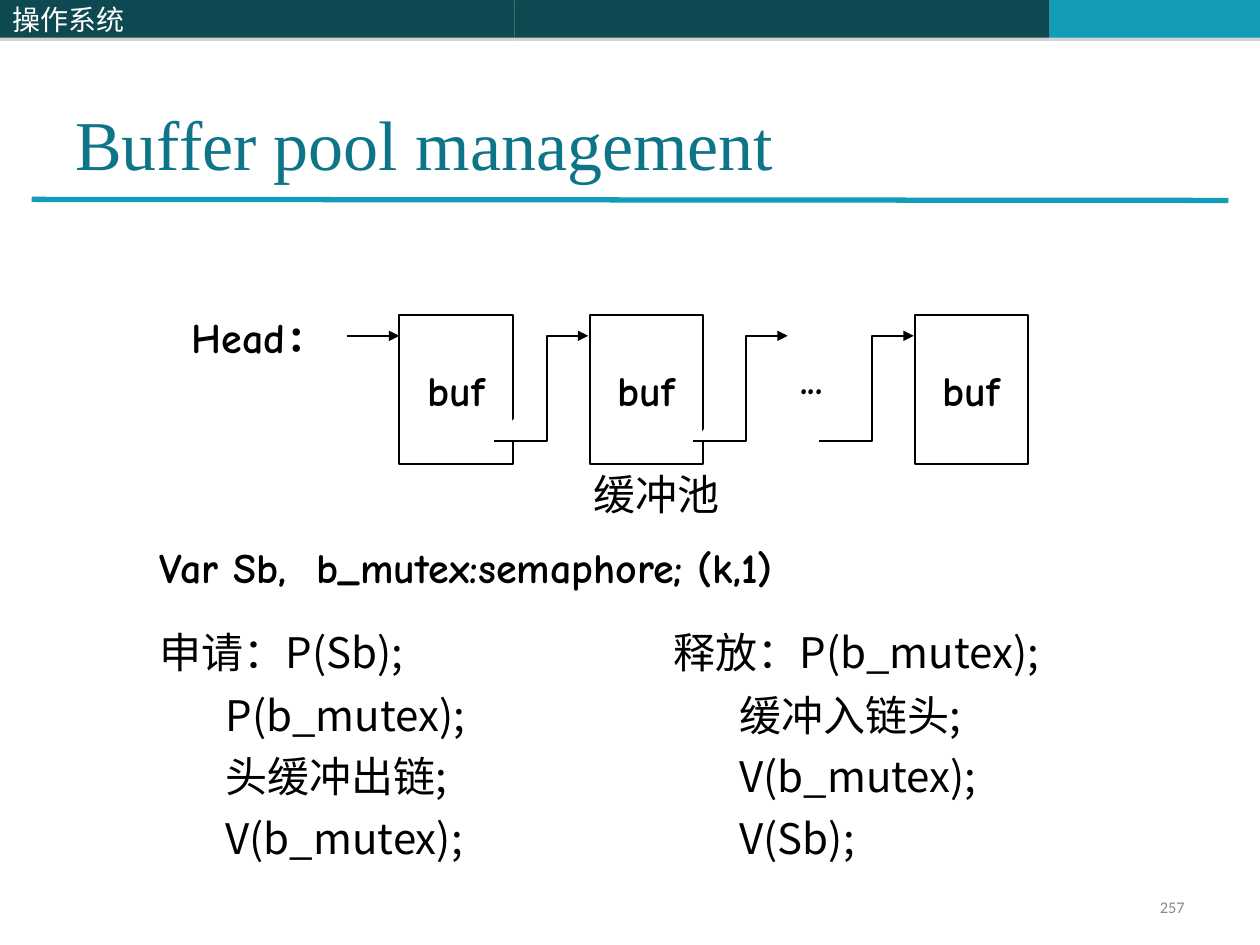
from lxml import etree
from pptx import Presentation
from pptx.dml.color import RGBColor
from pptx.enum.shapes import MSO_CONNECTOR, MSO_SHAPE
from pptx.enum.text import MSO_ANCHOR, PP_ALIGN
from pptx.oxml.ns import qn
from pptx.util import Cm, Pt

RECT = MSO_SHAPE.RECTANGLE
LINE = MSO_CONNECTOR.STRAIGHT
TOP, MID, LOW = MSO_ANCHOR.TOP, MSO_ANCHOR.MIDDLE, MSO_ANCHOR.BOTTOM
LEFT, CENTER, RIGHT = PP_ALIGN.LEFT, PP_ALIGN.CENTER, PP_ALIGN.RIGHT

BLACK = RGBColor(0, 0, 0)
WHITE = RGBColor(255, 255, 255)
DARK = RGBColor(0x0E, 0x48, 0x51)
AQUA = RGBColor(0x13, 0x9C, 0xB7)
TEAL = RGBColor(0x0E, 0x75, 0x89)
GREY = RGBColor(0x89, 0x89, 0x89)

COMIC, HAN = "Comic Neue", "Noto Sans CJK SC"
SERIF, SANS = "Times New Roman", "Calibri"


def style(font, name, size, color, bold=False):
    font.name, font.size, font.bold = name, Pt(size), bold
    font.color.rgb = color
    face = etree.Element(qn("a:ea"), typeface=name)
    font._rPr.find(qn("a:latin")).addnext(face)


def write(shape, lines, name, size=24, color=BLACK, bold=False,
          align=LEFT, anchor=TOP, wrap=True):
    frame = shape.text_frame
    frame.word_wrap, frame.vertical_anchor = wrap, anchor
    for i, text in enumerate(lines):
        para = frame.add_paragraph() if i else frame.paragraphs[0]
        para.alignment = align
        if i:
            para.line_spacing, para.space_before = 0.7, Pt(15)
            para._p.get_or_add_pPr().set("marL", str(Cm(1.33)))
        para.add_run().text = text
        style(para.font, name, size, color, bold)
    return frame


def label(slide, x, y, w, h, lines, name, **look):
    box = slide.shapes.add_textbox(Cm(x), Cm(y), Cm(w), Cm(h))
    return write(box, lines, name, **look)


def rect(slide, x, y, w, h, fill, edge=None):
    box = slide.shapes.add_shape(RECT, Cm(x), Cm(y), Cm(w), Cm(h))
    box.shadow.inherit = False
    box.fill.solid()
    box.fill.fore_color.rgb = fill
    if edge is None:
        box.line.fill.background()
    else:
        stroke(box, edge, 1.25)
    return box


def stroke(shape, color, width):
    shape.line.color.rgb = color
    shape.line.width = Pt(width)


def point(shape):
    edge = shape.line._get_or_add_ln()
    etree.SubElement(edge, qn("a:tailEnd"), type="triangle")


def rule(slide, x1, y1, x2, y2, color, width):
    line = slide.shapes.add_connector(LINE, Cm(x1), Cm(y1), Cm(x2), Cm(y2))
    stroke(line, color, width)
    etree.SubElement(line._element.spPr, qn("a:effectLst"))
    return line


def shade(box):
    glow = etree.SubElement(box._element.spPr.find(qn("a:effectLst")),
                            qn("a:outerShdw"), dist=str(Pt(1.8)),
                            dir="5400000", rotWithShape="0")
    tint = etree.SubElement(glow, qn("a:srgbClr"), val="808080")
    etree.SubElement(tint, qn("a:alpha"), val="35000")


def header(slide, x, y, h):
    parts = [(10.37, 10.79, DARK), (21.16, 4.24, AQUA), (0, 10.37, DARK)]
    for left, w, fill in parts:
        bar = rect(slide, x + left, y, w, h, fill)
        shade(bar)
    write(bar, ["操作系统"], HAN, size=16, color=WHITE, anchor=MID)


def heading(slide, x, y, w, h):
    label(slide, x, y, w, h, ["Buffer pool management"], SERIF,
          size=40, color=TEAL, anchor=LOW)
    rule(slide, x - 0.63, y + 3.36, x + w + 0.63, y + 3.38, AQUA, 3)


def elbow(slide, x, y):
    path = slide.shapes.build_freeform(Cm(x), Cm(y + 2.12))
    bend = Cm(x + 1.06)
    path.add_line_segments([(bend, Cm(y + 2.12)), (bend, Cm(y)),
                            (Cm(x + 1.9), Cm(y))], close=False)
    link = path.convert_to_shape()
    link.shadow.inherit = False
    link.fill.solid()
    link.fill.fore_color.rgb = WHITE
    stroke(link, BLACK, 1.25)
    point(link)


def pool(slide, x, y):
    for left in (4.44, 8.28, 14.83):
        box = rect(slide, x + left, y + 0.2, 2.29, 3, WHITE, BLACK)
        write(box, ["buf"], COMIC, bold=True, align=CENTER,
              anchor=MID, wrap=False)
    point(rule(slide, x + 3.38, y + 0.62, x + 4.44, y + 0.62, BLACK, 1.25))
    for left in (6.35, 10.37, 12.91):
        elbow(slide, x + left, y + 0.62)
    dots = rect(slide, x + 12.27, y + 0.84, 1.27, 1.27, WHITE)
    write(dots, ["..."], COMIC, bold=True)
    head = label(slide, x, y, 3.81, 1.27, ["Head"], COMIC, bold=True)
    colon = head.paragraphs[0].add_run()
    colon.text = "："
    style(colon.font, SERIF, 24, BLACK, True)
    label(slide, x + 8.1, y + 3.17, 4.8, 1.27, ["缓冲池"], HAN)


def code(slide, x, y):
    label(slide, x, y, 18.85, 1.27,
          ["Var Sb,  b_mutex:semaphore; (k,1)"], COMIC, bold=True)
    steps = [
        ["申请：P(Sb);", "P(b_mutex);", "头缓冲出链;", "V(b_mutex);"],
        ["释放：P(b_mutex);", "缓冲入链头;", "V(b_mutex);", "V(Sb);"],
    ]
    for i, lines in enumerate(steps):
        label(slide, x + i * 10.36, y + 1.7, 9.1, 6, lines, HAN)


def number(slide, x, y, w, h):
    frame = label(slide, x, y, w, h, ["257"], SANS, size=9.3,
                  color=GREY, align=RIGHT, anchor=MID)
    frame.paragraphs[0].line_spacing = 0.8


def main():
    deck = Presentation()
    deck.slide_width, deck.slide_height = Cm(25.4), Cm(19.05)
    slide = deck.slides.add_slide(deck.slide_layouts[6])
    header(slide, 0, 0, 0.76)
    number(slide, 18.21, 17.98, 5.92, 0.69)
    heading(slide, 1.27, 0.66, 22.86, 3.18)
    pool(slide, 3.61, 6.15)
    code(slide, 2.97, 10.8)
    deck.save("out.pptx")


if __name__ == "__main__":
    main()
